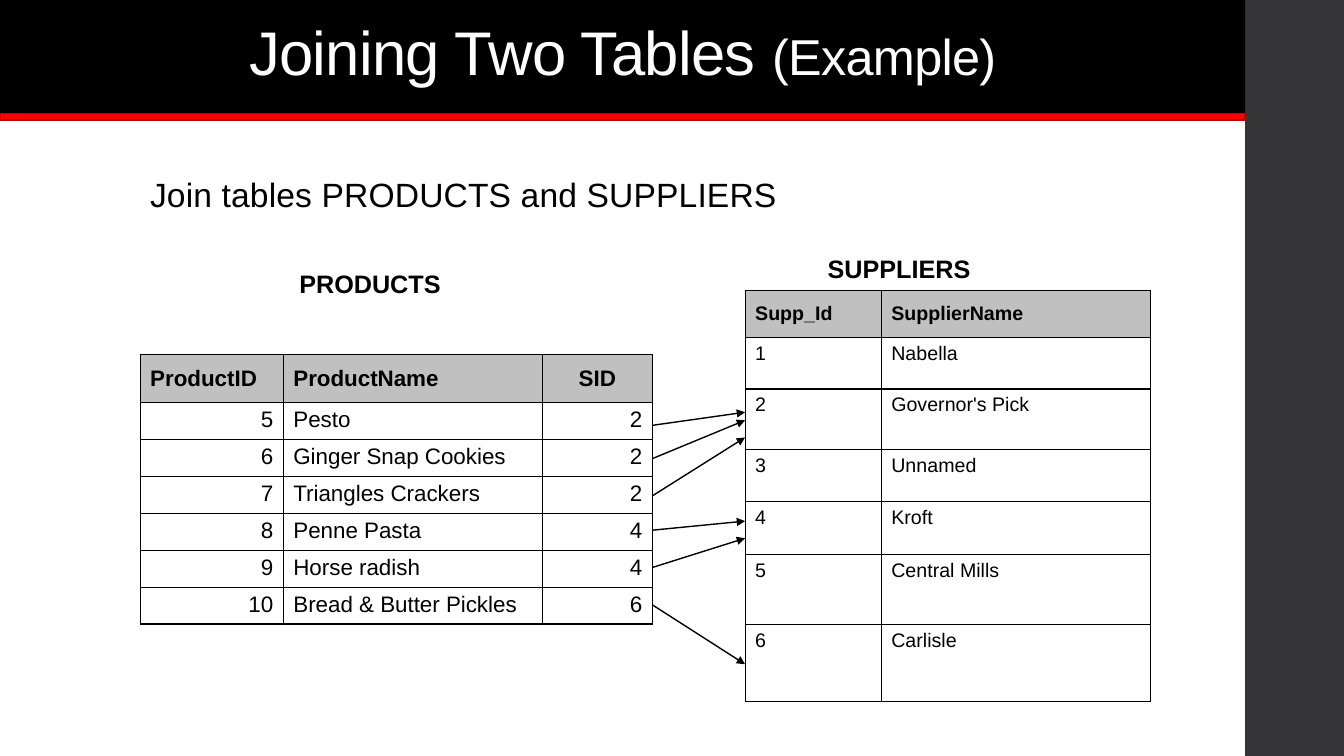
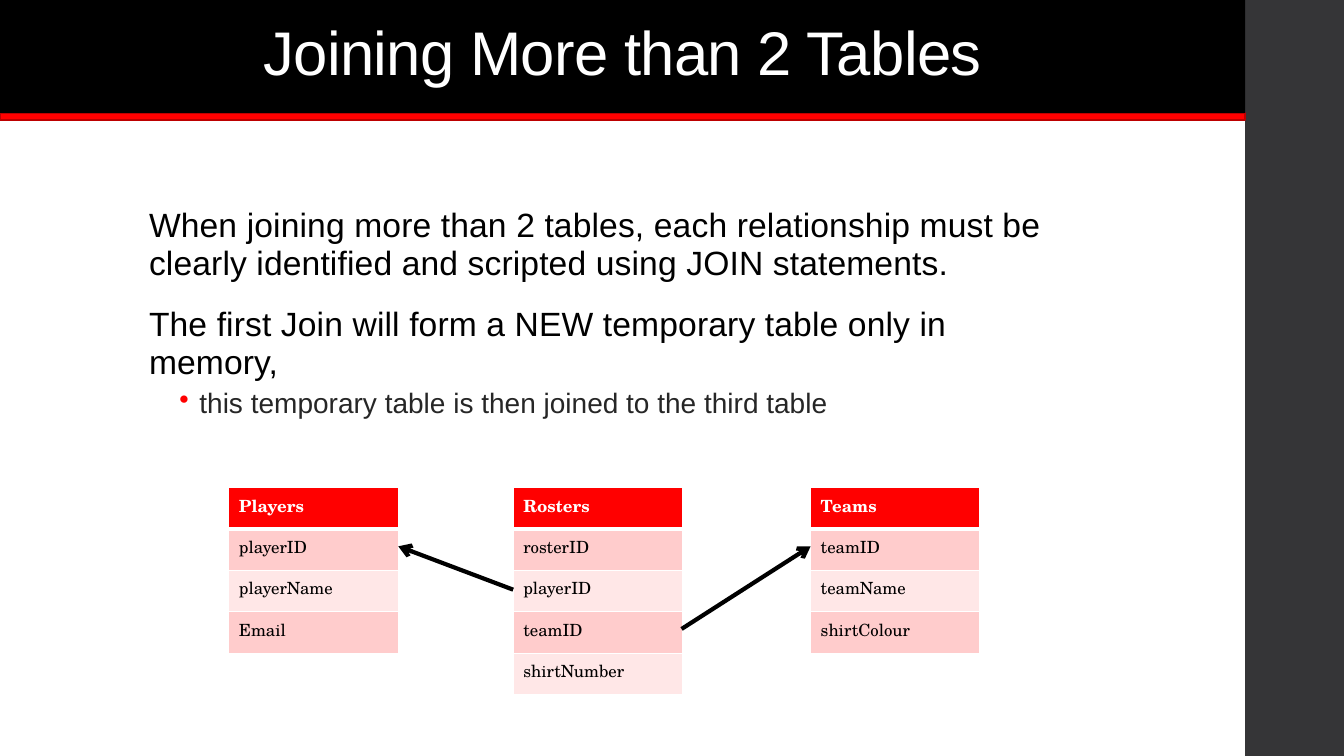
from lxml import etree
from pptx import Presentation
from pptx.dml.color import RGBColor
from pptx.enum.shapes import MSO_CONNECTOR, MSO_SHAPE
from pptx.enum.text import MSO_ANCHOR, MSO_AUTO_SIZE, PP_ALIGN
from pptx.oxml.ns import qn
from pptx.util import Inches, Pt

LEFT, CENTER, RIGHT = PP_ALIGN.LEFT, PP_ALIGN.CENTER, PP_ALIGN.RIGHT
TOP, MIDDLE = MSO_ANCHOR.TOP, MSO_ANCHOR.MIDDLE
RECT, STRAIGHT = MSO_SHAPE.RECTANGLE, MSO_CONNECTOR.STRAIGHT
FIT_SHAPE, NO_FIT = MSO_AUTO_SIZE.SHAPE_TO_FIT_TEXT, MSO_AUTO_SIZE.NONE


class Theme:
    """Colours, fonts, type sizes and table styles of the deck."""
    black, white, red = "000000", "FFFFFF", "FF0000"
    rail, band_edge, soft_black = "353537", "BD0000", "262626"
    sans, serif = "Arial", "TeX Gyre Schola"
    title, title_small, body, sub, label = 44, 36, 24, 20, 18
    grid = dict(font=sans, head_fill="C0C0C0", head_color=black, head_anchor=MIDDLE,
                fills=[white], border=black, head_rule=1)
    banded = dict(font=serif, head_fill=red, head_color=white, head_anchor=TOP,
                  fills=["FFCCCC", "FFE7E7"], border=white, head_rule=3)


def write(p, text, size, color=Theme.black, font=Theme.sans, bold=False, spc=0,
          align=LEFT, line=None, before=None, after=None):
    """Add a formatted run to paragraph p; lengths are in points."""
    p.alignment = align
    if line:
        p.line_spacing = line
    if before is not None:
        p.space_before, p.space_after = Pt(before), Pt(after)
    r = p.add_run()
    r.text = text
    r.font.name, r.font.size, r.font.bold = font, Pt(size), bold
    r.font.color.rgb = RGBColor.from_string(color)
    if spc:
        r._r.get_or_add_rPr().set("spc", str(round(spc * 100)))


def add_table(s, x, y, widths, heights, rows, size, style, aligns, head_aligns):
    """Add a table whose first row is the header."""
    table = s.shapes.add_table(len(rows), len(widths), Inches(x), Inches(y),
                               Inches(sum(widths)), Inches(sum(heights))).table
    table.horz_banding = False
    for column, width in zip(table.columns, widths):
        column.width = Inches(width)
    for i, (values, height) in enumerate(zip(rows, heights)):
        table.rows[i].height = Inches(height)
        head = i == 0
        for j, value in enumerate(values):
            cell = table.cell(i, j)
            cell.vertical_anchor = style["head_anchor"] if head else TOP
            tcPr = cell._tc.get_or_add_tcPr()
            for side in ("L", "R", "T", "B"):
                on_rule = (head and side == "B") or (i == 1 and side == "T")
                weight = style["head_rule"] if on_rule else 1
                ln = etree.SubElement(tcPr, qn(f"a:ln{side}"), w=str(Pt(weight)))
                fill = etree.SubElement(ln, qn("a:solidFill"))
                etree.SubElement(fill, qn("a:srgbClr"), val=style["border"])
            band = style["fills"][(i - 1) % len(style["fills"])]
            cell.fill.solid()
            cell.fill.fore_color.rgb = RGBColor.from_string(style["head_fill"] if head else band)
            write(cell.text_frame.paragraphs[0], value, size, font=style["font"], bold=head,
                  color=style["head_color"] if head else Theme.black,
                  align=(head_aligns if head else aligns)[j])


prs = Presentation()
prs.slide_width, prs.slide_height = Inches(13.33), Inches(7.5)
layout = prs.slide_layouts[5]
for placeholder in list(layout.placeholders)[1:]:
    layout.shapes.element.remove(placeholder.element)

# Slides with their titles and body text
titles = [
    [("Joining Two Tables ", Theme.title), ("(Example)", Theme.title_small)],
    [("Joining More than 2 Tables", Theme.title)],
]
bodies = [
    (1.39, 1.71, 4.76, [("Join tables PRODUCTS and SUPPLIERS", 0)]),
    (1.38, 2, 2.44, [
        ("When joining more than 2 tables, each relationship must be clearly identified "
         "and scripted using JOIN statements.", 0),
        ("The first Join will form a NEW temporary table only in memory,", 0),
        ("this temporary table is then joined to the third table", 1),
    ]),
]
for runs, (x, y, height, paragraphs) in zip(titles, bodies):
    s = prs.slides.add_slide(layout)
    title = s.shapes.title
    title.left, title.top = Inches(0), Inches(-0.02)
    title.width, title.height = Inches(12.35), Inches(1.14)
    title.fill.solid()
    title.fill.fore_color.rgb = RGBColor.from_string(Theme.black)
    tf = title.text_frame
    tf.auto_size, tf.vertical_anchor = NO_FIT, MIDDLE
    for text, size in runs:
        write(tf.paragraphs[0], text, size, color=Theme.white, spc=-0.5, align=CENTER, line=0.9)

    tf = s.shapes.add_textbox(Inches(x), Inches(y), Inches(9.4), Inches(height)).text_frame
    tf.word_wrap = True
    for i, (text, level) in enumerate(paragraphs):
        p = tf.add_paragraph() if i else tf.paragraphs[0]
        if level == 0:
            write(p, text, Theme.body, spc=0.1, line=0.95, before=14, after=2)
            continue
        p.level = level
        write(p, text, Theme.sub, color=Theme.soft_black, line=0.9, before=3, after=3)
        pPr = p._p.get_or_add_pPr()
        pPr.set("marL", str(Inches(0.5)))
        pPr.set("indent", str(Inches(-0.2)))
        bullet_color = etree.SubElement(pPr, qn("a:buClr"))
        etree.SubElement(bullet_color, qn("a:srgbClr"), val=Theme.red)
        etree.SubElement(pPr, qn("a:buChar"), char="•")
join_two, join_more = prs.slides

# Side rail and title rule, shared through the layout
for x, y, width, height, color, edge in [
    (12.35, 0, 1, 7.5, Theme.rail, None),
    (0, 1.12, 12.35, 0.07, Theme.red, Theme.band_edge),
]:
    sp = join_two.shapes.add_shape(RECT, Inches(x), Inches(y), Inches(width), Inches(height))
    sp.shadow.inherit = False
    sp.fill.solid()
    sp.fill.fore_color.rgb = RGBColor.from_string(color)
    if edge:
        sp.line.color.rgb = RGBColor.from_string(edge)
        sp.line.width = Pt(1.1)
    else:
        sp.line.fill.background()
    layout.shapes.element.append(sp.element)

# Slide 1: products and suppliers
suppliers = [
    ("Supp_Id", "SupplierName"),
    ("1", "Nabella"),
    ("2", "Governor's Pick"),
    ("3", "Unnamed"),
    ("4", "Kroft"),
    ("5", "Central Mills"),
    ("6", "Carlisle"),
]
products = [
    ("ProductID", "ProductName", "SID"),
    ("5", "Pesto", "2"),
    ("6", "Ginger Snap Cookies", "2"),
    ("7", "Triangles Crackers", "2"),
    ("8", "Penne Pasta", "4"),
    ("9", "Horse radish", "4"),
    ("10", "Bread & Butter Pickles", "6"),
]
add_table(join_two, 7.39, 2.88, [1.35, 2.67], [0.47, 0.51, 0.6, 0.52, 0.52, 0.7, 0.76],
          suppliers, 14, Theme.grid, [LEFT, LEFT], [LEFT, LEFT])
add_table(join_two, 1.39, 3.52, [1.42, 2.57, 1.09], [0.47] + [0.36] * 6,
          products, 16, Theme.grid, [RIGHT, LEFT, RIGHT], [LEFT, LEFT, CENTER])
for text, x, y, width in [("PRODUCTS", 2.87, 2.61, 1.95), ("SUPPLIERS", 8.11, 2.46, 1.65)]:
    tf = join_two.shapes.add_textbox(Inches(x), Inches(y), Inches(width), Inches(0.4)).text_frame
    tf.word_wrap, tf.auto_size = True, FIT_SHAPE
    write(tf.paragraphs[0], text, Theme.label, bold=True)

# Slide 2: three related tables
for x, fields in [
    (2.27, ["Players", "playerID", "playerName", "Email"]),
    (8.04, ["Teams", "teamID", "teamName", "shirtColour"]),
    (5.09, ["Rosters", "rosterID", "playerID", "teamID", "shirtNumber"]),
]:
    add_table(join_more, x, 4.84, [1.68], [0.41] * len(fields), [[field] for field in fields],
              12, Theme.banded, [LEFT], [LEFT])

# Arrows from each foreign key to its primary key
key_rows = [(4.22, 4.09), (4.55, 4.17), (4.92, 4.34), (5.26, 5.17), (5.63, 5.34), (6, 6.59)]
arrows = [(join_two, 6.47, y1, 7.39, y2, 1, "triangle") for y1, y2 in key_rows]
arrows += [
    (join_more, 5.09, 5.85, 3.95, 5.42, 3, "arrow"),
    (join_more, 6.76, 6.24, 8.04, 5.42, 3, "arrow"),
]
for s, x1, y1, x2, y2, weight, head in arrows:
    arrow = s.shapes.add_connector(STRAIGHT, Inches(x1), Inches(y1), Inches(x2), Inches(y2))
    arrow.line.color.rgb = RGBColor.from_string(Theme.black)
    arrow.line.width = Pt(weight)
    spPr = arrow.element.spPr
    etree.SubElement(spPr.find(qn("a:ln")), qn("a:tailEnd"), type=head)
    etree.SubElement(spPr, qn("a:effectLst"))

prs.save("out.pptx")
